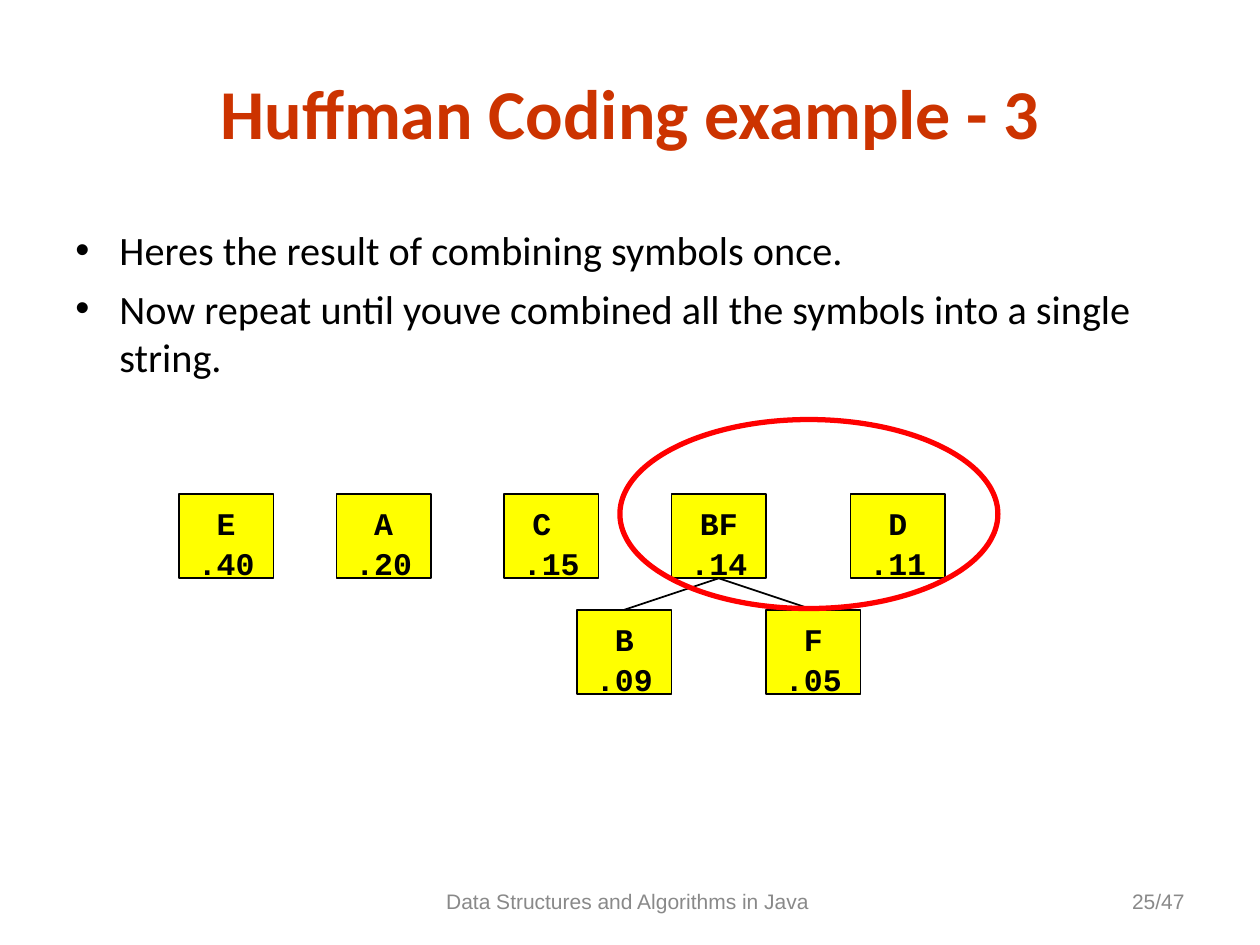
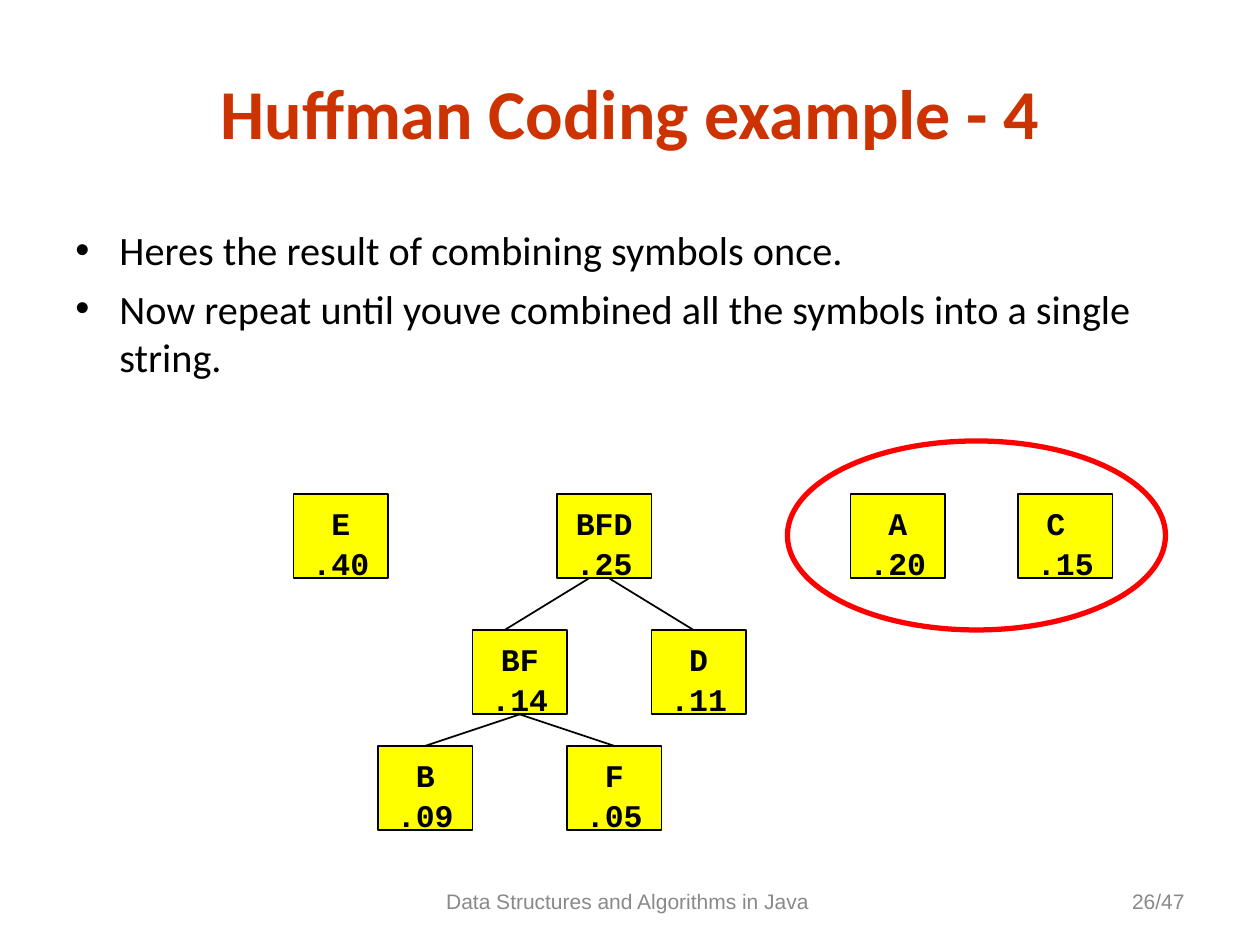
from dataclasses import dataclass
from typing import Optional

from lxml.etree import SubElement
from pptx import Presentation
from pptx.dml.color import RGBColor
from pptx.enum.shapes import MSO_CONNECTOR as Link, MSO_SHAPE as Form
from pptx.enum.text import MSO_ANCHOR as Anchor, MSO_AUTO_SIZE as Fit, PP_ALIGN as Align
from pptx.oxml.ns import qn
from pptx.util import Inches, Pt

BLACK, RED, RUST, GREY, YELLOW = "000000", "FF0000", "CC3300", "898989", "FFFF00"
WIDE, TALL = 0.75, 0.67
TOP = 3.92
FOOT = "Data Structures and Algorithms in Java "
PAGES = 47
POINTS = [
    "Heres the result of combining symbols once.",
    "Now repeat until youve combined all the symbols into a single string.",
]


@dataclass
class Node:
    name: str
    freq: str
    left: float
    top: float = TOP


@dataclass
class Edge:
    root: str
    kid: str
    lean: Optional[tuple[float, float]] = None


@dataclass
class Page:
    step: int
    number: int
    nodes: list[Node]
    edges: list[Edge]
    ring: tuple[float, float]


def paint(code: str) -> RGBColor:
    return RGBColor.from_string(code)


def style(para, font: str, size: float, code: str, bold: bool = False, align=Align.LEFT) -> None:
    para.alignment = align
    for run in para.runs:
        run.font.name = font
        run.font.size = Pt(size)
        run.font.bold = bold
        run.font.color.rgb = paint(code)


def place(shape, left: float, top: float, width: float, height: float) -> None:
    shape.left, shape.top = Inches(left), Inches(top)
    shape.width, shape.height = Inches(width), Inches(height)


def add_title(slide, text: str) -> None:
    title = slide.shapes.title
    place(title, 0.75, 0.5, 8.5, 0.77)
    frame = title.text_frame
    frame.text = text
    frame.auto_size = Fit.NONE
    frame.vertical_anchor = Anchor.MIDDLE
    style(frame.paragraphs[0], "Calibri", 40, RUST, True, Align.CENTER)


def add_foot(slide, text: str, left: float, width: float, align) -> None:
    box = slide.shapes.add_textbox(Inches(left), Inches(6.95), Inches(width), Inches(0.4))
    frame = box.text_frame
    frame.word_wrap = True
    frame.vertical_anchor = Anchor.MIDDLE
    frame.text = text
    style(frame.paragraphs[0], "Arial", 12, GREY, align=align)


def add_points(slide) -> None:
    box = slide.shapes.add_textbox(Inches(0.5), Inches(1.74), Inches(9), Inches(1.34))
    frame = box.text_frame
    frame.word_wrap = True
    frame.text = "\n".join(POINTS)
    for index, para in enumerate(frame.paragraphs):
        style(para, "Calibri", 23, BLACK)
        para.space_before = Pt(5.8 if index else 0)
        props = para._p.get_or_add_pPr()
        props.set("marL", str(Inches(0.35)))
        props.set("indent", str(-Inches(0.35)))
        SubElement(props, qn("a:buFont")).set("typeface", "Arial")
        SubElement(props, qn("a:buChar")).set("char", "•")


def add_node(slide, node: Node):
    box = slide.shapes.add_shape(
        Form.RECTANGLE, Inches(node.left), Inches(node.top), Inches(WIDE), Inches(TALL))
    box.shadow.inherit = False
    box.fill.solid()
    box.fill.fore_color.rgb = paint(YELLOW)
    box.line.color.rgb = paint(BLACK)
    box.line.width = Pt(1)
    frame = box.text_frame
    frame.word_wrap = False
    frame.vertical_anchor = Anchor.TOP
    frame.margin_top, frame.margin_bottom = Inches(0.08), 0
    frame.text = f"{node.name}\n{node.freq}"
    for para in frame.paragraphs:
        style(para, "Courier New", 18, BLACK, True, Align.CENTER)
    frame.paragraphs[1].space_before = Pt(1.3)
    return box


def add_edge(slide, edge: Edge, boxes: dict) -> None:
    root, kid = boxes[edge.root], boxes[edge.kid]
    out, into = edge.lean or (0, 0)
    line = slide.shapes.add_connector(
        Link.STRAIGHT,
        root.left + root.width // 2 + Inches(out), root.top + root.height,
        kid.left + kid.width // 2 + Inches(into), kid.top)
    if edge.lean is None:
        line.begin_connect(root, 2)
        line.end_connect(kid, 0)
    line.line.color.rgb = paint(BLACK)
    line.line.width = Pt(1)
    SubElement(line._element.spPr, qn("a:effectLst"))


def add_ring(slide, left: float, top: float) -> None:
    ring = slide.shapes.add_shape(
        Form.OVAL, Inches(left), Inches(top), Inches(3), Inches(1.5))
    ring.shadow.inherit = False
    ring.fill.background()
    ring.line.color.rgb = paint(RED)
    ring.line.width = Pt(3)


def pair(left: float, top: float) -> list[Node]:
    low = top + 0.92
    return [
        Node("BF", ".14", left, top),
        Node("B", ".09", left - WIDE, low),
        Node("F", ".05", left + WIDE, low),
    ]


def build(deck, page: Page) -> None:
    slide = deck.slides.add_slide(deck.slide_layouts[5])
    add_title(slide, f"Huffman Coding example - {page.step}")
    add_foot(slide, FOOT, 3.42, 3.17, Align.CENTER)
    add_foot(slide, f"{page.number}/{PAGES}", 7.17, 2.33, Align.RIGHT)
    add_points(slide)
    boxes = {node.name: add_node(slide, node) for node in page.nodes}
    for edge in page.edges:
        add_edge(slide, edge, boxes)
    add_ring(slide, *page.ring)


SPLIT = [Edge("BF", "B"), Edge("BF", "F")]
STEPS = [
    Page(3, 25, [
        Node("E", ".40", 1.42),
        Node("A", ".20", 2.67),
        Node("C ", ".15", 4),
        Node("D", ".11", 6.75),
        *pair(5.33, TOP),
    ], SPLIT, (4.92, 3.33)),
    Page(4, 26, [
        Node("E", ".40", 2.33),
        Node("BFD", ".25", 4.42),
        Node("A", ".20", 6.75),
        Node("C ", ".15", 8.08),
        Node("D", ".11", 5.17, 5),
        *pair(3.75, 5),
    ], [
        *SPLIT,
        Edge("BFD", "BF", (-0.12, -0.12)),
        Edge("BFD", "D", (0.04, -0.04)),
    ], (6.25, 3.5)),
]


def main() -> None:
    deck = Presentation()
    deck.slide_width, deck.slide_height = Inches(10), Inches(7.5)
    for page in STEPS:
        build(deck, page)
    deck.save("out.pptx")


if __name__ == "__main__":
    main()
